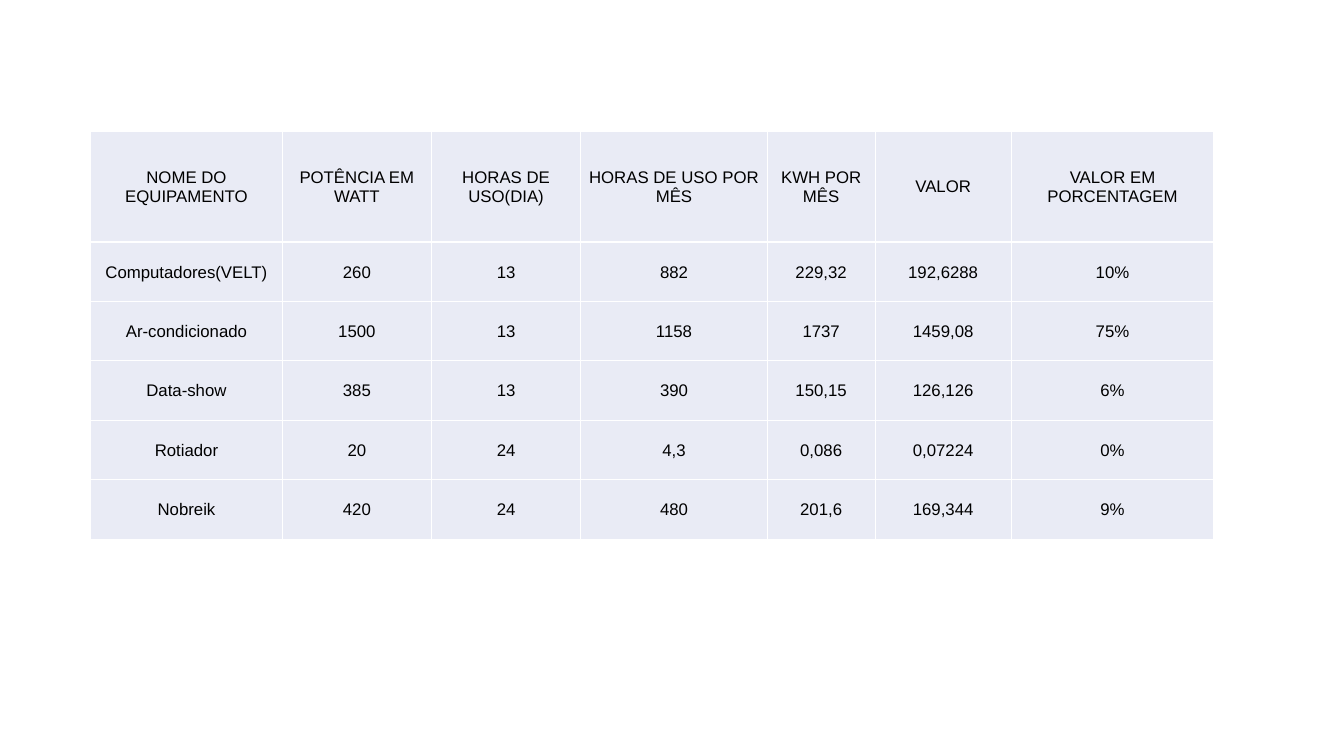
import pptx
import pptx.dml.color
import pptx.enum.text
import pptx.oxml
import pptx.oxml.ns
import pptx.util

COLORS = {"cell": "E9EBF5", "border": "FFFFFF", "text": "000000"}
FONT = "Arial"
FONT_SIZE = 12
BORDER_WIDTH = 1
CELL_INSET = 0.01

SLIDE_SIZE = (13.33, 7.5)
TABLE_BOX = (0.9, 1.3, 11.14, 4.05)
COLUMN_WEIGHTS = (1.9, 1.48, 1.48, 1.85, 1.07, 1.35, 2.01)
ROW_WEIGHTS = (1.1, 0.59, 0.59, 0.59, 0.59, 0.59)

ENERGY_ROWS = (
    ("NOME DO EQUIPAMENTO", "POTÊNCIA EM WATT", "HORAS DE USO(DIA)",
     "HORAS DE USO POR MÊS", "KWH POR MÊS", "VALOR", "VALOR EM PORCENTAGEM"),
    ("Computadores(VELT)", "260", "13", "882", "229,32", "192,6288", "10%"),
    ("Ar-condicionado", "1500", "13", "1158", "1737", "1459,08", "75%"),
    ("Data-show", "385", "13", "390", "150,15", "126,126", "6%"),
    ("Rotiador", "20", "24", "4,3", "0,086", "0,07224", "0%"),
    ("Nobreik", "420", "24", "480", "201,6", "169,344", "9%"),
)


def color(name):
    return pptx.dml.color.RGBColor.from_string(COLORS[name])


def share(length, weights):
    """Split a length in proportion to the weights."""
    return [pptx.util.Inches(length * weight / sum(weights)) for weight in weights]


def add_borders(cell):
    properties = cell._tc.get_or_add_tcPr()
    width = pptx.util.Pt(BORDER_WIDTH)
    for side in ("lnL", "lnR", "lnT", "lnB"):
        properties.append(pptx.oxml.parse_xml(
            f'<a:{side} {pptx.oxml.ns.nsdecls("a")} w="{width}"><a:solidFill>'
            f'<a:srgbClr val="{COLORS["border"]}"/></a:solidFill></a:{side}>'))


def fill_cell(cell, text):
    add_borders(cell)
    cell.fill.solid()
    cell.fill.fore_color.rgb = color("cell")
    cell.vertical_anchor = pptx.enum.text.MSO_ANCHOR.MIDDLE
    cell.margin_left = cell.margin_right = cell.margin_top = pptx.util.Inches(CELL_INSET)
    cell.margin_bottom = 0
    paragraph = cell.text_frame.paragraphs[0]
    paragraph.text = text
    paragraph.alignment = pptx.enum.text.PP_ALIGN.CENTER
    font = paragraph.runs[0].font
    font.name = FONT
    font.size = pptx.util.Pt(FONT_SIZE)
    font.bold = False
    font.color.rgb = color("text")


def add_energy_table(slide, box):
    left, top, width, height = box
    table = slide.shapes.add_table(
        len(ROW_WEIGHTS), len(COLUMN_WEIGHTS),
        *(pptx.util.Inches(length) for length in box)).table
    table.first_row = table.horz_banding = False
    for column, column_width in zip(table.columns, share(width, COLUMN_WEIGHTS)):
        column.width = column_width
    for row, row_height in zip(table.rows, share(height, ROW_WEIGHTS)):
        row.height = row_height
    for row, texts in zip(table.rows, ENERGY_ROWS):
        for cell, text in zip(row.cells, texts):
            fill_cell(cell, text)


def main():
    presentation = pptx.Presentation()
    presentation.slide_width, presentation.slide_height = (
        pptx.util.Inches(length) for length in SLIDE_SIZE)
    blank_layout = presentation.slide_layouts[6]
    slide = presentation.slides.add_slide(blank_layout)
    add_energy_table(slide, TABLE_BOX)
    presentation.save("out.pptx")


if __name__ == "__main__":
    main()
